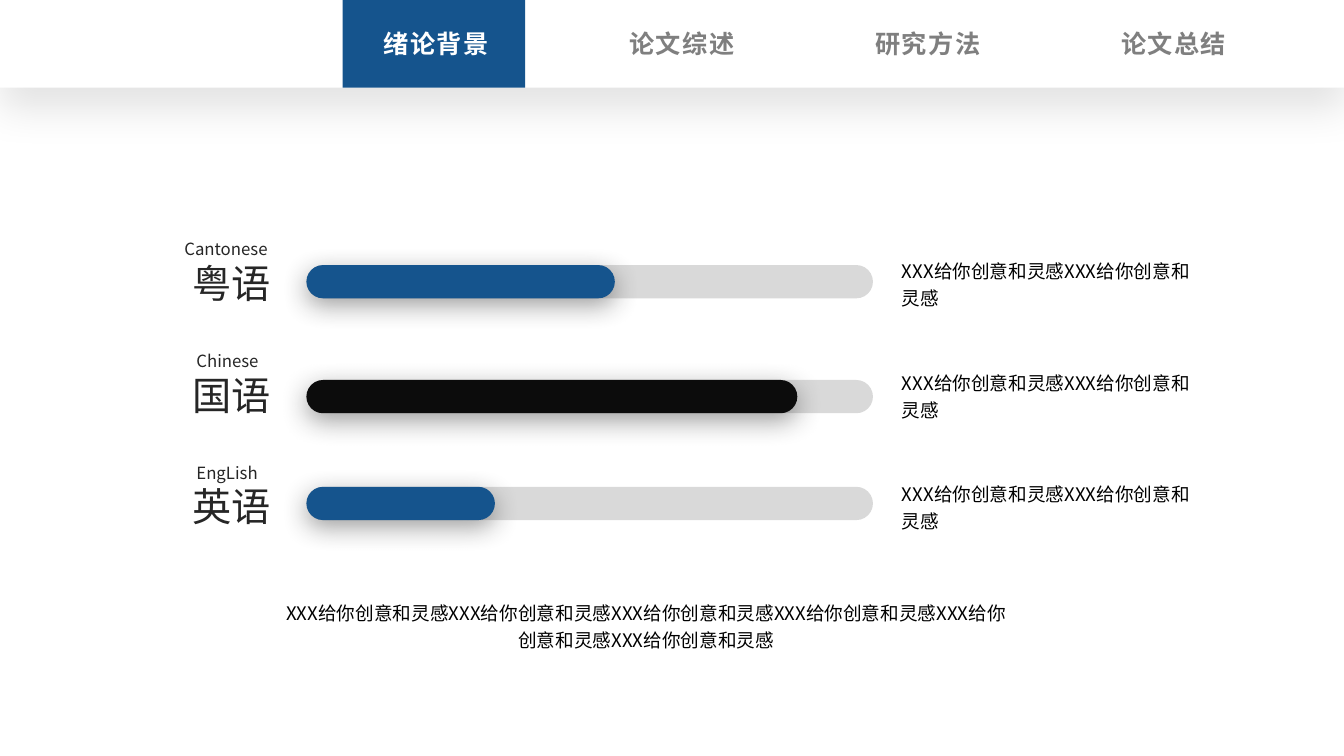
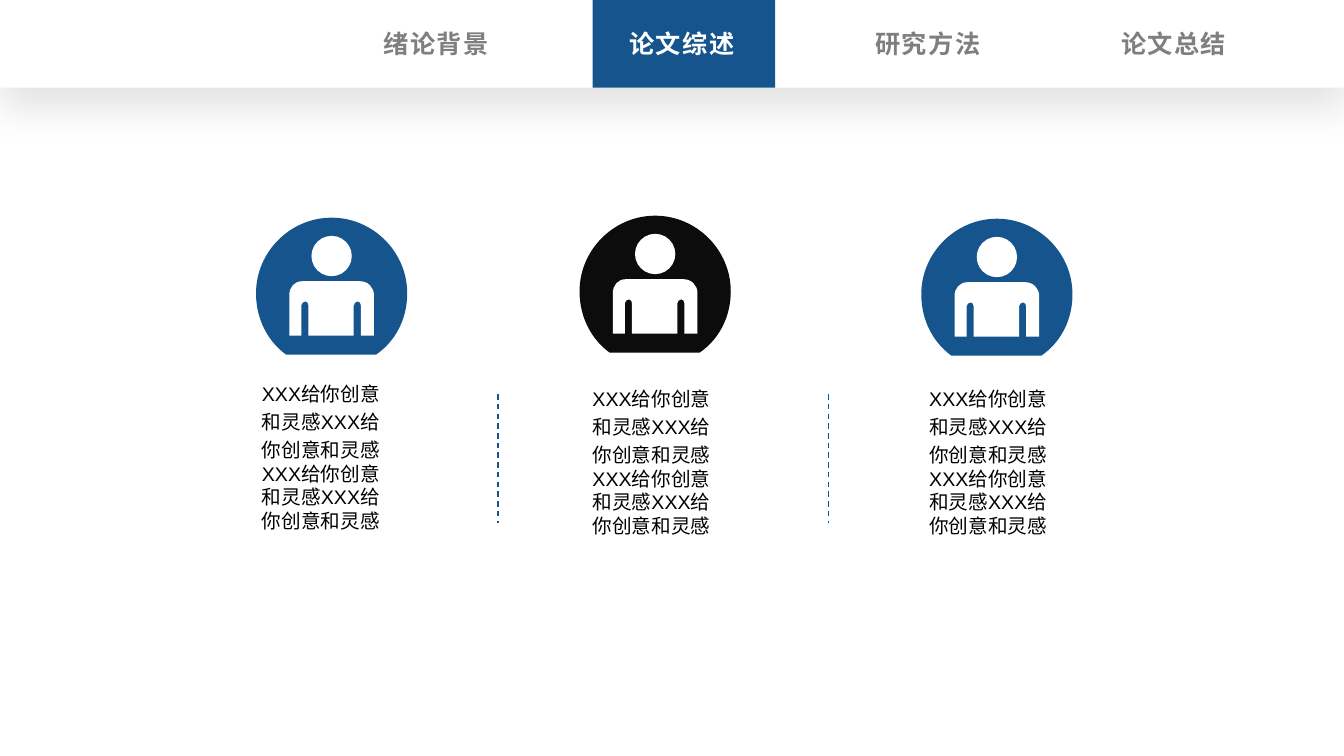
from lxml import etree
from pptx import Presentation
from pptx.dml.color import RGBColor
from pptx.enum.dml import MSO_LINE
from pptx.enum.shapes import MSO_CONNECTOR, MSO_SHAPE
from pptx.enum.text import MSO_ANCHOR, MSO_AUTO_SIZE, PP_ALIGN
from pptx.oxml.ns import qn
from pptx.util import Inches, Pt

# Shared colours and fonts
BLUE = RGBColor(0x15, 0x54, 0x8D)
INK = RGBColor(0x0C, 0x0C, 0x0C)
DARK = RGBColor(0x26, 0x26, 0x26)
BLACK = RGBColor(0, 0, 0)
WHITE = RGBColor(0xFF, 0xFF, 0xFF)
TRACK = RGBColor(0xD9, 0xD9, 0xD9)
TAB_GREY = RGBColor(0x7F, 0x7F, 0x7F)
CJK = "Noto Sans CJK SC"
LATIN = "Arial"

# Shared formats
SLIDE_W = 40 / 3
TAB = dict(size=Pt(18), name=LATIN, bold=True)
NAME = dict(size=Pt(28), name=CJK)
CAPTION = dict(size=Pt(12), name=CJK)
NOTE = dict(size=Pt(13.3), name=CJK)
COPY = dict(size=Pt(14), name=LATIN)
BAND_SHADOW = dict(color=BLACK, alpha=11, blur=28, dist=15)
BAR_SHADOW = dict(color=DARK, alpha=43, blur=19, dist=5)

# Shared wording
TABS = ["绪论背景", "论文综述", "研究方法", "论文总结"]
PHRASE = "XXX给你创意和灵感"

# Person outlines: each step is an end point, or two handles and an end point
DISC = [[(0.3, 1.36)], [(1.19, 1.36)],
        [(1.38, 1.23), (1.5, 1.01), (1.5, 0.75)],
        [(1.5, 0.34), (1.16, 0), (0.75, 0)],
        [(0.34, 0), (0, 0.34), (0, 0.75)],
        [(0, 1.01), (0.12, 1.23), (0.3, 1.36)]]


def arm_gap(x):
    """Slot between arm and trunk, rounded at the top."""
    return [[(x, 1.17)], [(x, 0.87)],
            [(x, 0.85), (x + 0.02, 0.83), (x + 0.04, 0.83)],
            [(x + 0.06, 0.83), (x + 0.07, 0.85), (x + 0.07, 0.87)],
            [(x + 0.07, 1.17)]]


BODY = [[(1.03, 0.63)], [(0.46, 0.63)],
        [(0.38, 0.63), (0.33, 0.69), (0.33, 0.77)], [(0.33, 1.17)],
        *arm_gap(0.45), *arm_gap(0.97),
        [(1.17, 1.17)], [(1.17, 0.77)],
        [(1.17, 0.69), (1.11, 0.63), (1.03, 0.63)]]


def inches(*values):
    return [Inches(v) for v in values]


def paint(shape, color):
    shape.shadow.inherit = False
    shape.fill.solid()
    shape.fill.fore_color.rgb = color
    shape.line.fill.background()
    return shape


def add_block(s, kind, box, color):
    return paint(s.shapes.add_shape(kind, *inches(*box)), color)


def add_shadow(shape, color, alpha, blur, dist):
    """Cast a soft shadow straight down; blur and distance in points."""
    effects = shape.element.spPr.find(qn("a:effectLst"))
    outer = etree.SubElement(
        effects, qn("a:outerShdw"), blurRad=str(Pt(blur)), dist=str(Pt(dist)),
        dir=str(90 * 60000), algn="t", rotWithShape="0")
    clr = etree.SubElement(outer, qn("a:srgbClr"), val=str(color))
    etree.SubElement(clr, qn("a:alpha"), val=str(alpha * 1000))


def write(shape, texts, fmt, color, align=PP_ALIGN.LEFT, spacings=(None,),
          wrap=True, tracking=None):
    """Fill a text frame, one paragraph per text and line spacing."""
    tf = shape.text_frame
    tf.word_wrap = wrap
    tf.auto_size = MSO_AUTO_SIZE.SHAPE_TO_FIT_TEXT
    tf.vertical_anchor = MSO_ANCHOR.TOP
    for i, (text, spacing) in enumerate(zip(texts, spacings)):
        p = tf.add_paragraph() if i else tf.paragraphs[0]
        p.alignment, p.line_spacing = align, spacing
        r = p.add_run()
        r.text = text
        for key, value in fmt.items():
            setattr(r.font, key, value)
        r.font.color.rgb = color
        rPr = r.font._element
        etree.SubElement(rPr, qn("a:ea"), typeface=CJK)
        if tracking:
            rPr.set("spc", str(tracking * 100))


def add_text(s, box, texts, fmt, color, **options):
    write(s.shapes.add_textbox(*inches(*box)), texts, fmt, color, **options)


def add_nav(s, active):
    """Top band with four tabs; the active tab is the slide title."""
    band = add_block(s, MSO_SHAPE.RECTANGLE, (0, 0, SLIDE_W, 0.87), WHITE)
    add_shadow(band, **BAND_SHADOW)
    add_block(s, MSO_SHAPE.RECTANGLE, (3.4 + 2.48 * active, 0, 1.81, 0.87), BLUE)
    for i, label in enumerate(TABS):
        box = inches(3.69 + 2.44 * i, 0.23, 1.27, 0.4)
        if i == active:
            tab = s.shapes.title
            tab.left, tab.top, tab.width, tab.height = box
            s.shapes.element.append(tab.element)  # bring to front
        else:
            tab = s.shapes.add_textbox(*box)
        write(tab, [label], TAB, WHITE if i == active else TAB_GREY,
              align=PP_ALIGN.CENTER, wrap=False, tracking=1)


def add_bar(s, top, width, color):
    """Progress bar: grey track under a coloured, shadowed part."""
    for w, fill in ((5.62, TRACK), (width, color)):
        bar = add_block(s, MSO_SHAPE.ROUNDED_RECTANGLE, (3.04, top, w, 0.33), fill)
        bar.adjustments[0] = 0.5
    add_shadow(bar, **BAR_SHADOW)


def add_outline(s, left, top, steps, color):
    """Freeform through the end points, with its curved steps made Béziers."""
    ends = [inches(left + step[-1][0], top + step[-1][1]) for step in steps]
    builder = s.shapes.build_freeform(*ends[0])
    builder.add_line_segments(ends[1:], close=True)
    shape = paint(builder.convert_to_shape(), color)
    x0, y0 = Inches(left) - shape.left, Inches(top) - shape.top
    segments = list(shape.element.iter(qn("a:lnTo")))
    for segment, step in zip(segments, steps[1:]):
        if len(step) == 3:
            curve = etree.Element(qn("a:cubicBezTo"))
            for x, y in step:
                etree.SubElement(curve, qn("a:pt"), x=str(x0 + Inches(x)),
                                 y=str(y0 + Inches(y)))
            segment.getparent().replace(segment, curve)


def add_person(s, left, top, color):
    """Person on a disc that is cut flat at the bottom."""
    add_outline(s, left, top, DISC, color)
    add_block(s, MSO_SHAPE.OVAL, (left + 0.55, top + 0.18, 0.4, 0.4), WHITE)
    add_outline(s, left, top, BODY, WHITE)


def add_divider(s, x):
    line = s.shapes.add_connector(MSO_CONNECTOR.STRAIGHT, *inches(x, 3.91, x, 5.19))
    line.line.color.rgb = BLUE
    line.line.width = Pt(1)
    line.line.dash_style = MSO_LINE.DASH
    etree.SubElement(line.element.spPr, qn("a:effectLst"))


def build_languages(s):
    rows = [("粤语", "Cantonese", 1.73, 1.05, 2.49, 2.63, 3.06, BLUE),
            ("国语", "Chinese", 1.85, 0.83, 3.6, 3.77, 4.87, INK),
            ("英语", "EngLish", 1.85, 0.82, 4.7, 4.83, 1.87, BLUE)]
    for i, row in enumerate(rows):
        name, caption, cap_left, cap_width, note_top, bar_top, width, color = row
        y = 1.11 * i
        add_text(s, (1.81, 2.52 + y, 0.99, 0.57), [name], NAME, DARK, wrap=False)
        add_text(s, (cap_left, 2.32 + y, cap_width, 0.3), [caption], CAPTION,
                 DARK, wrap=False)
        add_text(s, (8.85, note_top, 3.2, 0.64), [PHRASE * 2], NOTE, BLACK,
                 spacings=[1.2])
        add_bar(s, bar_top, width, color)
    add_text(s, (2.65, 5.88, 7.52, 1.51), [PHRASE * 6], NOTE, BLACK,
             align=PP_ALIGN.CENTER, spacings=[1.2])
    add_nav(s, 0)


def build_people(s):
    columns = [(2.54, 2.16, 2.5, 3.69, BLUE),
               (5.75, 2.14, 5.78, 3.74, INK),
               (9.14, 2.17, 9.12, 3.74, BLUE)]
    for left, top, text_left, text_top, color in columns:
        add_person(s, left, top, color)
        add_text(s, (text_left, text_top, 1.53, 1.86), [PHRASE * 2] * 2, COPY,
                 BLACK, spacings=[1.2, None])
    for x in (4.94, 8.22):
        add_divider(s, x)
    add_nav(s, 1)


def main():
    prs = Presentation()
    prs.slide_width, prs.slide_height = inches(SLIDE_W, 7.5)
    for build in (build_languages, build_people):
        build(prs.slides.add_slide(prs.slide_layouts[5]))
    prs.save("out.pptx")


if __name__ == "__main__":
    main()
